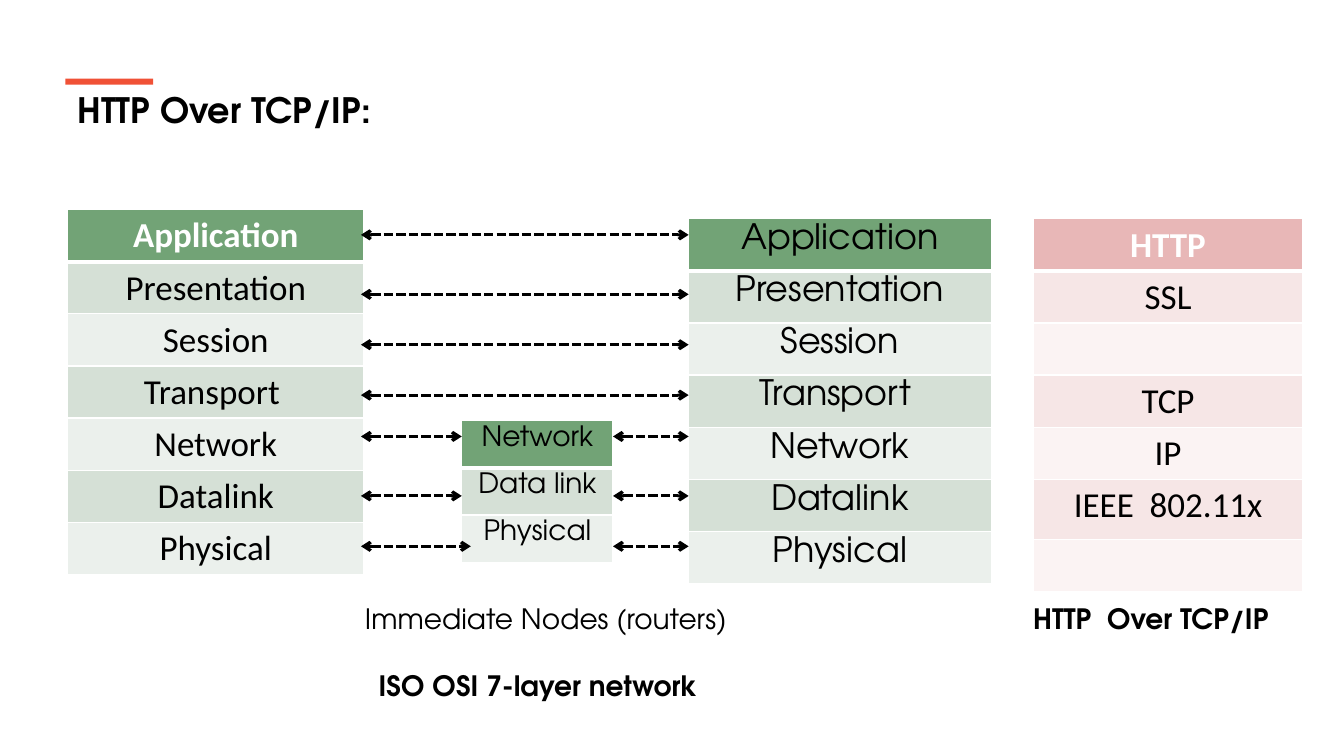
"""Build the HTTP over TCP/IP slide with the OSI layer tables."""
from lxml import etree
from pptx import Presentation
from pptx.dml.color import RGBColor
from pptx.enum import dml, shapes, text
from pptx.oxml import parse_xml
from pptx.oxml.ns import nsdecls, qn
from pptx.util import Inches, Pt

COLORS = {
    "black": "000000", "white": "FFFFFF", "accent": "F05136",
    "green": "72A376", "green_dark": "D5E0D6", "green_light": "EBF0EC",
    "pink": "E8B7B7", "pink_dark": "F6E6E6", "pink_light": "FBF3F3",
}
CALIBRI, ADVENTOR = "Calibri", "TeX Gyre Adventor"
LAYERS = ["Application", "Presentation", " Session ", "Transport ",
          "Network", "Datalink", "Physical"]
ROW = 3.62 / 7
MARGIN_TOP, MARGIN_BOTTOM = 0.05, 0.03
TABLES = [
    {"rows": LAYERS, "at": (0.67, 2.08), "width": 2.94, "heights": [ROW] * 7,
     "font": CALIBRI, "size": 25, "hue": "green"},
    {"rows": LAYERS, "at": (6.83, 2.17), "width": 3, "heights": [ROW] * 7,
     "font": ADVENTOR, "size": 25, "hue": "green"},
    {"rows": ["Network", "Data link", "Physical"], "at": (4.58, 4.17), "width": 1.5,
     "heights": [0.47] * 3, "font": ADVENTOR, "size": 20, "hue": "green"},
    {"rows": ["HTTP", "SSL", "", "TCP", "IP", "IEEE  802.11x", ""], "at": (10.25, 2.17),
     "width": 2.67, "heights": [ROW] * 5 + [0.6, ROW], "font": CALIBRI, "size": 25,
     "hue": "pink"},
]
HOST_LEFT, HOST_RIGHT, ROUTER_LEFT, ROUTER_RIGHT = 3.58, 6.83, 4.58, 6.08
DIRECT_LINKS = [2.33, 2.92, 3.42, 3.92]
ROUTED_LINKS = [(4.33, ROUTER_LEFT), (4.92, ROUTER_LEFT), (5.42, 4.67)]
LABELS = [
    ("HTTP Over TCP/IP:", (0.67, 0.83, 12.09, 0.52), 25, True, text.PP_ALIGN.LEFT),
    ("Immediate Nodes (routers)", (3.5, 5.92, 3.83, 0.44), 20, False, text.PP_ALIGN.CENTER),
    ("HTTP  Over TCP/IP", (9.5, 5.92, 3.83, 0.44), 20, True, text.PP_ALIGN.CENTER),
    ("ISO OSI 7-layer network", (3.42, 6.58, 3.83, 0.44), 20, True, text.PP_ALIGN.CENTER),
]


def rgb(name):
    return RGBColor.from_string(COLORS[name])


def write(paragraph, words, font, size, bold, color, align):
    paragraph.alignment = align
    run = paragraph.add_run()
    run.text = words
    run.font.name, run.font.size, run.font.bold = font, Pt(size), bold
    run.font.color.rgb = rgb(color)


def add_borders(cell, top, bottom):
    properties = cell._tc.get_or_add_tcPr()
    for side, points in (("L", 1), ("R", 1), ("T", top), ("B", bottom)):
        properties.append(parse_xml(
            f'<a:ln{side} {nsdecls("a")} w="{Pt(points)}"><a:solidFill>'
            f'<a:srgbClr val="{COLORS["white"]}"/></a:solidFill></a:ln{side}>'))


def add_layers(slide, rows, at, width, heights, font, size, hue):
    box = [Inches(value) for value in (*at, width, sum(heights))]
    table = slide.shapes.add_table(len(rows), 1, *box).table
    for index, (words, height) in enumerate(zip(rows, heights)):
        table.rows[index].height = Inches(height)
        cell = table.cell(index, 0)
        header = index == 0
        cell.margin_top, cell.margin_bottom = Inches(MARGIN_TOP), Inches(MARGIN_BOTTOM)
        cell.vertical_anchor = text.MSO_ANCHOR.TOP
        add_borders(cell, 3 if index == 1 else 1, 3 if header else 1)
        cell.fill.solid()
        shade = hue if header else hue + ("_dark" if index % 2 else "_light")
        cell.fill.fore_color.rgb = rgb(shade)
        if words:
            strong = header and font == CALIBRI
            write(cell.text_frame.paragraphs[0], words, font, size, strong,
                  "white" if strong else "black", text.PP_ALIGN.CENTER)


def add_link(slide, left, right, y):
    link = slide.shapes.add_connector(
        shapes.MSO_CONNECTOR.STRAIGHT, Inches(left), Inches(y), Inches(right), Inches(y))
    link.line.color.rgb = rgb("black")
    link.line.width = Pt(2.25)
    link.line.dash_style = dml.MSO_LINE.SQUARE_DOT
    properties = link._element.spPr
    outline = properties.find(qn("a:ln"))
    for end in ("a:headEnd", "a:tailEnd"):
        etree.SubElement(outline, qn(end), type="arrow")
    etree.SubElement(properties, qn("a:effectLst"))


def add_label(slide, words, box, size, bold, align):
    frame = slide.shapes.add_textbox(*[Inches(value) for value in box]).text_frame
    frame.word_wrap = True
    write(frame.paragraphs[0], words, ADVENTOR, size, bold, "black", align)


def main():
    presentation = Presentation()
    presentation.slide_width, presentation.slide_height = Inches(13.33), Inches(7.5)
    slide = presentation.slides.add_slide(presentation.slide_layouts[6])
    bar = slide.shapes.add_shape(
        shapes.MSO_SHAPE.RECTANGLE, Inches(0.65), Inches(0.78), Inches(0.87), Inches(0.06))
    bar.shadow.inherit = False
    bar.fill.solid()
    bar.fill.fore_color.rgb = rgb("accent")
    bar.line.fill.background()
    for table in TABLES:
        add_layers(slide, **table)
    for y in DIRECT_LINKS:
        add_link(slide, HOST_LEFT, HOST_RIGHT, y)
    for y, router_edge in ROUTED_LINKS:
        add_link(slide, HOST_LEFT, router_edge, y)
        add_link(slide, ROUTER_RIGHT, HOST_RIGHT, y)
    for label in LABELS:
        add_label(slide, *label)
    presentation.save("out.pptx")


if __name__ == "__main__":
    main()
